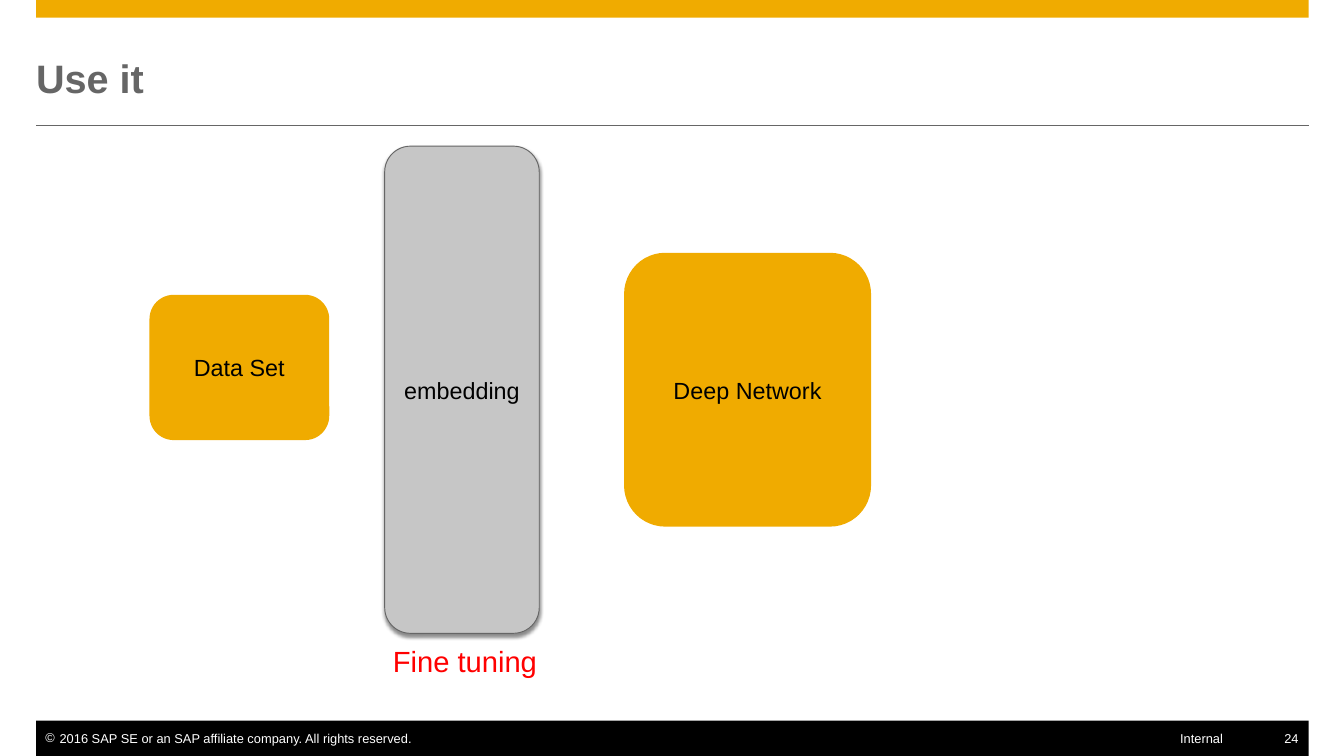
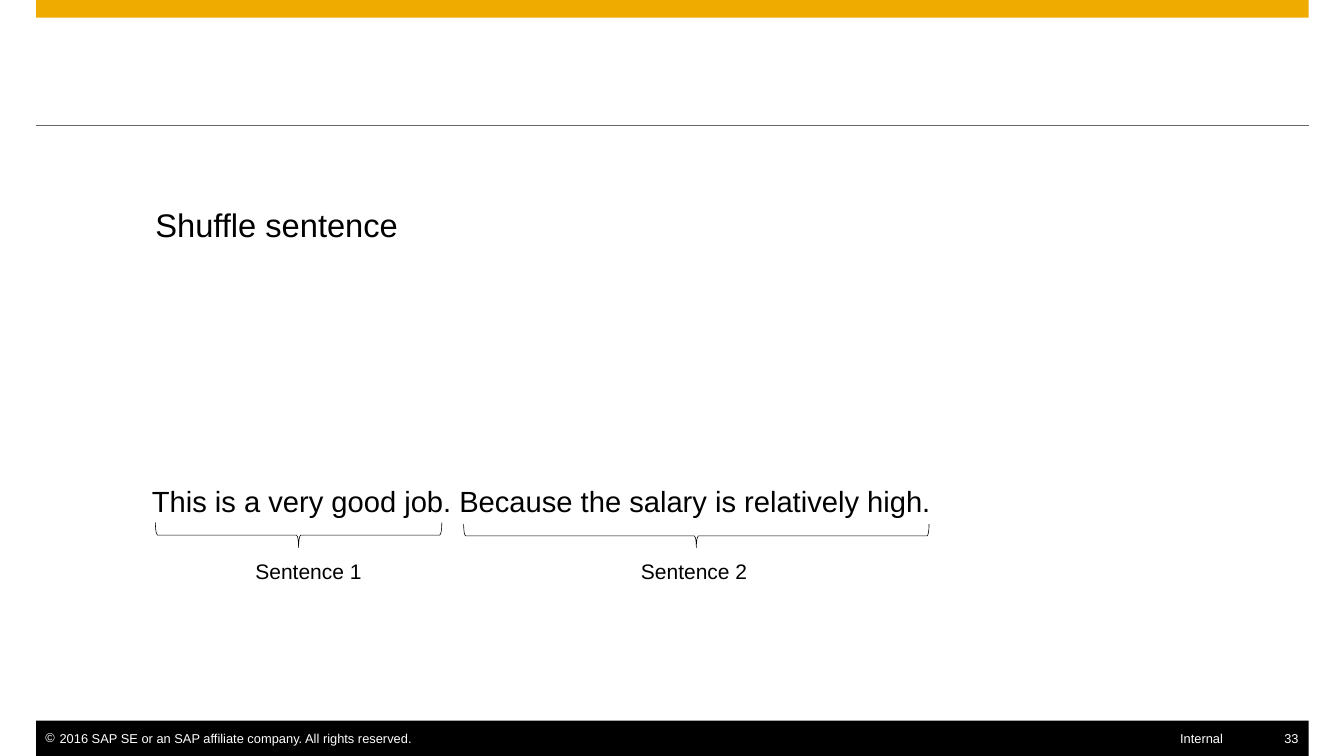
from dataclasses import dataclass

import lxml.etree
import pptx
import pptx.dml.color
import pptx.enum.shapes
import pptx.enum.text
import pptx.oxml.ns
import pptx.util

SCALE = 9144  # EMU in one px, 100 px to the inch
WIDE, HIGH = 1600, 900
EDGE, SPAN = 43, 1515
GOLD, GREY, SILVER = "F0AB00", "666666", "C6C6C6"
BLACK, WHITE, RED = "000000", "FFFFFF", "FF0000"
FONT = "Arial"

SHAPE = pptx.enum.shapes.MSO_SHAPE
ALIGN = pptx.enum.text.PP_ALIGN
MIDDLE = pptx.enum.text.MSO_ANCHOR.MIDDLE
qn = pptx.oxml.ns.qn


@dataclass
class Box:
    left: int
    top: int
    width: int
    height: int


@dataclass
class Label:
    box: Box
    text: str
    size: int
    color: str = BLACK
    bold: bool = False
    align: ALIGN = ALIGN.LEFT
    inset: tuple[int, int, int, int] = (0, 0, 0, 0)
    wrap: bool = True
    middle: bool = False
    bullet: str = ""


@dataclass
class Block:
    box: Box
    text: str
    fill: str
    raised: bool = False


BLOCKS = [
    Block(Box(178, 351, 214, 173), "Data Set", GOLD),
    Block(Box(458, 174, 184, 580), "embedding", SILVER, raised=True),
    Block(Box(743, 301, 294, 326), "Deep Network", GOLD),
]
TUNING = Label(Box(458, 761, 193, 52), "Fine tuning", 25, RED,
               inset=(10, 5, 10, 5), wrap=False)
PHRASES = [
    Label(Box(185, 244, 298, 47), "Shuffle sentence", 28),
    Label(Box(171, 570, 957, 52),
          "This is a very good job. Because the salary is relatively high.",
          25, inset=(10, 5, 10, 5), wrap=False),
    Label(Box(304, 665, 132, 30), "Sentence 1", 18),
    Label(Box(763, 665, 132, 30), "Sentence 2", 18),
]
BRACES = [Box(185, 622, 341, 30), Box(552, 624, 554, 28)]


def px(size: float) -> pptx.util.Emu:
    return pptx.util.Emu(round(size * SCALE))


def rgb(color: str) -> pptx.dml.color.RGBColor:
    return pptx.dml.color.RGBColor.from_string(color)


def place(box: Box) -> list[pptx.util.Emu]:
    return [px(side) for side in (box.left, box.top, box.width, box.height)]


def apply(target, values: dict) -> None:
    for name, value in values.items():
        setattr(target, name, value)


def stroke(line, color: str, width: float) -> None:
    line.color.rgb = rgb(color)
    line.width = pptx.util.Pt(width)


def mark(para, char: str) -> None:
    """Give the paragraph a hanging white bullet."""
    props = para._p.get_or_add_pPr()
    apply_indent = {"marL": px(17), "indent": -px(17)}
    for name, value in apply_indent.items():
        props.set(name, str(value))
    tint = lxml.etree.SubElement(props, qn("a:buClr"))
    lxml.etree.SubElement(tint, qn("a:srgbClr"), val=WHITE)
    lxml.etree.SubElement(props, qn("a:buFont"), typeface=FONT)
    lxml.etree.SubElement(props, qn("a:buChar"), char=char)


def write(frame, label: Label) -> None:
    left, top, right, bottom = map(px, label.inset)
    apply(frame, {"margin_left": left, "margin_top": top,
                  "margin_right": right, "margin_bottom": bottom,
                  "word_wrap": label.wrap})
    if label.middle:
        frame.vertical_anchor = MIDDLE
    para = frame.paragraphs[0]
    para.alignment = label.align
    if label.bullet:
        mark(para, label.bullet)
    run = para.add_run()
    run.text = label.text
    apply(run.font, {"name": FONT, "size": pptx.util.Pt(label.size),
                     "bold": label.bold})
    run.font.color.rgb = rgb(label.color)


def add_label(slide, label: Label) -> None:
    write(slide.shapes.add_textbox(*place(label.box)).text_frame, label)


def add_shape(slide, kind: SHAPE, box: Box, fill: str = ""):
    """Add a flat shape without outline; no fill colour leaves it hollow."""
    shape = slide.shapes.add_shape(kind, *place(box))
    shape.shadow.inherit = False
    shape.line.fill.background()
    if fill:
        shape.fill.solid()
        shape.fill.fore_color.rgb = rgb(fill)
    else:
        shape.fill.background()
    return shape


def add_shadow(shape) -> None:
    effects = shape._element.spPr.find(qn("a:effectLst"))
    cast = lxml.etree.SubElement(
        effects, qn("a:outerShdw"), blurRad=str(pptx.util.Pt(3)),
        dist=str(pptx.util.Pt(2.4)), dir="5400000", rotWithShape="0")
    tint = lxml.etree.SubElement(cast, qn("a:srgbClr"), val=BLACK)
    lxml.etree.SubElement(tint, qn("a:alpha"), val="45000")


def add_block(slide, block: Block) -> None:
    shape = add_shape(slide, SHAPE.ROUNDED_RECTANGLE, block.box, block.fill)
    if block.raised:
        stroke(shape.line, GREY, 0.79)
        add_shadow(shape)
    write(shape.text_frame,
          Label(block.box, block.text, 20, align=ALIGN.CENTER,
                inset=(10, 8, 10, 8), middle=True))


def add_brace(slide, box: Box) -> None:
    """Fill the box with a brace whose tip points down."""
    mid_x, mid_y = box.left + box.width / 2, box.top + box.height / 2
    upright = Box(mid_x - box.height / 2, mid_y - box.width / 2,
                  box.height, box.width)
    shape = add_shape(slide, SHAPE.LEFT_BRACE, upright)
    shape.rotation = 270
    stroke(shape.line, BLACK, 0.5)


def add_rule(slide, top: int) -> None:
    rule = slide.shapes.add_connector(
        pptx.enum.shapes.MSO_CONNECTOR.STRAIGHT,
        px(EDGE), px(top), px(EDGE + SPAN), px(top))
    stroke(rule.line, GREY, 0.5)
    lxml.etree.SubElement(rule._element.spPr, qn("a:effectLst"))


def add_page(deck, number: int, title: str = ""):
    """Add a slide with the shared bands, rule, footer and title."""
    slide = deck.slides.add_slide(deck.slide_layouts[6])
    add_shape(slide, SHAPE.RECTANGLE, Box(EDGE, 0, SPAN, 21), GOLD)
    add_rule(slide, 149)
    add_shape(slide, SHAPE.RECTANGLE, Box(EDGE, 858, SPAN, 43), BLACK)
    footer = [
        Label(Box(EDGE, 870, 454, 19),
              "2016 SAP SE or an SAP affiliate company. All rights reserved.",
              11, WHITE, inset=(11, 0, 0, 0), wrap=False, bullet="©"),
        Label(Box(1527, 870, 30, 19), str(number), 11, WHITE,
              align=ALIGN.RIGHT, inset=(0, 0, 11, 0), wrap=False),
        Label(Box(1291, 870, 165, 19), "Internal", 11, WHITE,
              align=ALIGN.RIGHT),
    ]
    for label in footer:
        add_label(slide, label)
    if title:
        add_label(slide, Label(Box(EDGE, 43, SPAN, 99), title, 34, GREY,
                               bold=True, middle=True))
    return slide


def main() -> None:
    deck = pptx.Presentation()
    apply(deck, {"slide_width": px(WIDE), "slide_height": px(HIGH)})

    usage = add_page(deck, 24, "Use it")
    for block in BLOCKS:
        add_block(usage, block)
    add_label(usage, TUNING)

    shuffle = add_page(deck, 33)
    for label in PHRASES:
        add_label(shuffle, label)
    for box in BRACES:
        add_brace(shuffle, box)

    deck.save("out.pptx")


if __name__ == "__main__":
    main()
